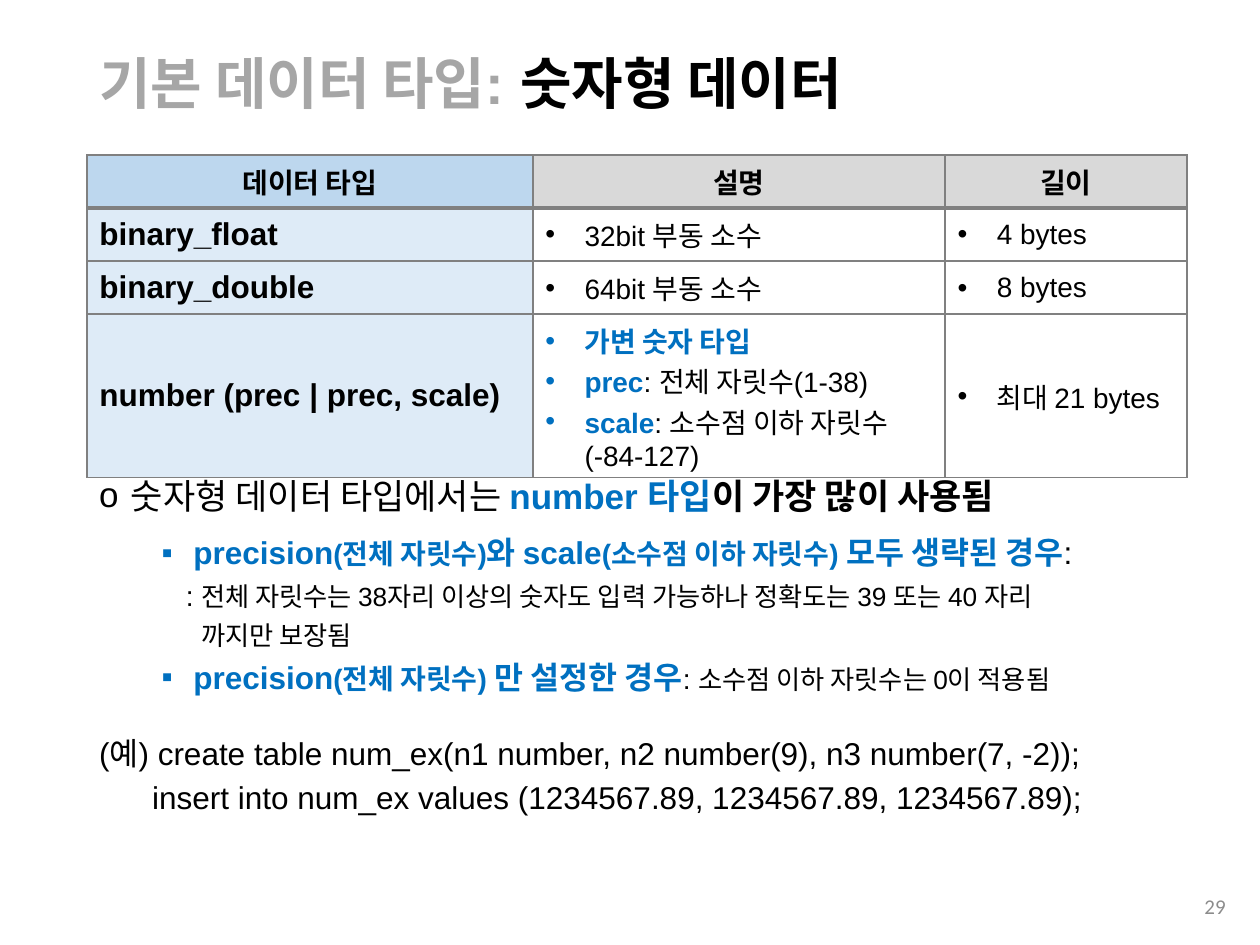
from lxml.etree import SubElement
from pptx import Presentation
from pptx.dml.color import RGBColor
from pptx.enum.text import MSO_ANCHOR as Anchor, PP_ALIGN as Align
from pptx.oxml.ns import qn
from pptx.util import Cm, Pt

COLORS = {
    "black": "000000", "blue": "0070C0", "muted": "A6A6A6", "number": "8C8C8C",
    "border": "808080", "type_head": "BDD7EE", "head": "D9D9D9",
    "type": "DEEBF7", "white": "FFFFFF",
}
LEFT = 1.75

# A run is (text, size, color, bold).
TITLE = [("기본 데이터 타입: ", 32, "muted", True), ("숫자형 데이터", 32, "black", True)]

HEADERS = ["데이터 타입", "설명", "길이"]
# Each row: type name, description paragraphs, length.
TYPES = [
    ("binary_float", [[("32bit 부동 소수", 16, "black", False)]], "4 bytes"),
    ("binary_double", [[("64bit 부동 소수", 16, "black", False)]], "8 bytes"),
    ("number (prec | prec, scale)", [
        [("가변 숫자 타입", 16, "blue", True)],
        [("prec", 16, "blue", True), (": 전체 자릿수(1-38)", 16, "black", False)],
        [("scale", 16, "blue", True), (": 소수점 이하 자릿수 (-84-127)", 16, "black", False)],
    ], "최대 21 bytes"),
]
COLUMN_WIDTHS = [8.99, 8.31, 4.88]
ROW_HEIGHTS = [1.07, 1.07, 1.07, 3.3]

# Each note: bullet, left indent, hanging indent (cm), space after (pt), runs.
NOTES = [
    ("o", 0.64, 0.64, 12, [
        ("숫자형 데이터 타입에서는 ", 20, "black", False),
        ("number 타입", 20, "blue", True),
        ("이 가장 많이 사용됨", 20, "black", True)]),
    ("▪", 1.9, 0.64, 6, [
        ("precision", 18, "blue", True),
        ("(전체 자릿수)", 16, "blue", True),
        ("와 scale", 18, "blue", True),
        ("(소수점 이하 자릿수) ", 16, "blue", True),
        ("모두 생략된 경우", 18, "blue", True),
        (":", 18, "black", False)]),
    (None, 1.75, 0, 6, [
        (": ", 16, "black", False),
        ("전체 자릿수는 38자리 이상의 숫자도 입력 가능하나 정확도는 39 또는 40 자리",
         15, "black", False)]),
    (None, 2.06, 0, 6, [("까지만 보장됨", 15, "black", False)]),
    ("▪", 1.9, 0.64, 24, [
        ("precision", 18, "blue", True),
        ("(전체 자릿수) ", 16, "blue", True),
        ("만 설정한 경우", 18, "blue", True),
        (": ", 16, "black", False),
        ("소수점 이하 자릿수는 0이 적용됨", 15, "black", False)]),
    (None, 0, 0, 6, [
        ("(예) create table num_ex(n1 number, n2 number(9), n3 number(7, -2));",
         18, "black", False)]),
    (None, 1.07, 0, 6, [
        ("insert into num_ex values (1234567.89, 1234567.89, 1234567.89);",
         18, "black", False)]),
]


def rgb(name):
    return RGBColor.from_string(COLORS[name])


def paragraph_at(frame, index):
    return frame.paragraphs[0] if index == 0 else frame.add_paragraph()


def write_runs(para, runs, font="Arial"):
    para.font.name = font
    for text, size, color, bold in runs:
        span = para.add_run()
        span.text = text
        span.font.name = font
        span.font.size = Pt(size)
        span.font.bold = bold
        span.font.color.rgb = rgb(color)


def indent(para, left, hanging, bullet=None):
    props = para._p.get_or_add_pPr()
    props.set("marL", str(Cm(left)))
    props.set("indent", str(-Cm(hanging)))
    if bullet:
        SubElement(props, qn("a:buFont"), typeface="Arial")
        SubElement(props, qn("a:buChar"), char=bullet)


def style_cell(cell, fill, row):
    """Fill the cell and draw its borders, with a heavy rule under the header."""
    cell.vertical_anchor = Anchor.MIDDLE
    props = cell._tc.get_or_add_tcPr()
    widths = {"L": 1, "R": 1, "T": 2.25 if row == 1 else 1, "B": 2.25 if row == 0 else 1}
    for side, width in widths.items():
        line = SubElement(props, qn(f"a:ln{side}"), w=str(Pt(width)))
        solid = SubElement(line, qn("a:solidFill"))
        SubElement(solid, qn("a:srgbClr"), val=COLORS["border"])
    cell.fill.solid()
    cell.fill.fore_color.rgb = rgb(fill)


def add_title(page):
    title = page.shapes.title
    title.left, title.top, title.width, title.height = Cm(LEFT), Cm(1.02), Cm(21.9), Cm(1.45)
    title.text_frame.vertical_anchor = Anchor.MIDDLE
    para = title.text_frame.paragraphs[0]
    para.alignment = Align.LEFT
    para.line_spacing = 0.9
    write_runs(para, TITLE)


def add_type_table(page):
    table = page.shapes.add_table(
        len(TYPES) + 1, len(HEADERS), Cm(LEFT), Cm(3.12),
        Cm(sum(COLUMN_WIDTHS)), Cm(sum(ROW_HEIGHTS))).table
    table.first_row = table.horz_banding = False
    for column, width in zip(table.columns, COLUMN_WIDTHS):
        column.width = Cm(width)
    for row, height in zip(table.rows, ROW_HEIGHTS):
        row.height = Cm(height)

    for column, text in enumerate(HEADERS):
        cell = table.cell(0, column)
        style_cell(cell, "head" if column else "type_head", 0)
        para = cell.text_frame.paragraphs[0]
        para.alignment = Align.CENTER
        write_runs(para, [(text, 16, "black", True)])

    for row, (name, description, length) in enumerate(TYPES, 1):
        contents = [[[(name, 18, "black", True)]], description,
                    [[(length, 16, "black", False)]]]
        for column, paragraphs in enumerate(contents):
            cell = table.cell(row, column)
            style_cell(cell, "white" if column else "type", row)
            for index, runs in enumerate(paragraphs):
                para = paragraph_at(cell.text_frame, index)
                if column:
                    indent(para, 0.79, 0.79, "•")
                write_runs(para, runs)


def add_notes(page):
    box = page.shapes.add_textbox(Cm(LEFT), Cm(9.53), Cm(22.15), Cm(8.51))
    box.text_frame.word_wrap = True
    for index, (bullet, left, hanging, after, runs) in enumerate(NOTES):
        para = paragraph_at(box.text_frame, index)
        indent(para, left, hanging, bullet)
        para.line_spacing = 0.9
        para.space_after = Pt(after)
        write_runs(para, runs)


def add_page_number(page):
    box = page.shapes.add_textbox(Cm(23.72), Cm(17.75), Cm(1.24), Cm(1.02))
    box.text_frame.word_wrap = True
    box.text_frame.vertical_anchor = Anchor.MIDDLE
    para = box.text_frame.paragraphs[0]
    para.alignment = Align.RIGHT
    write_runs(para, [("29", 12, "number", False)], "Calibri")


def main():
    deck = Presentation()
    deck.slide_width, deck.slide_height = Cm(25.4), Cm(19.05)
    page = deck.slides.add_slide(deck.slide_layouts[5])
    add_title(page)
    add_notes(page)
    add_page_number(page)
    add_type_table(page)
    deck.save("out.pptx")


if __name__ == "__main__":
    main()
